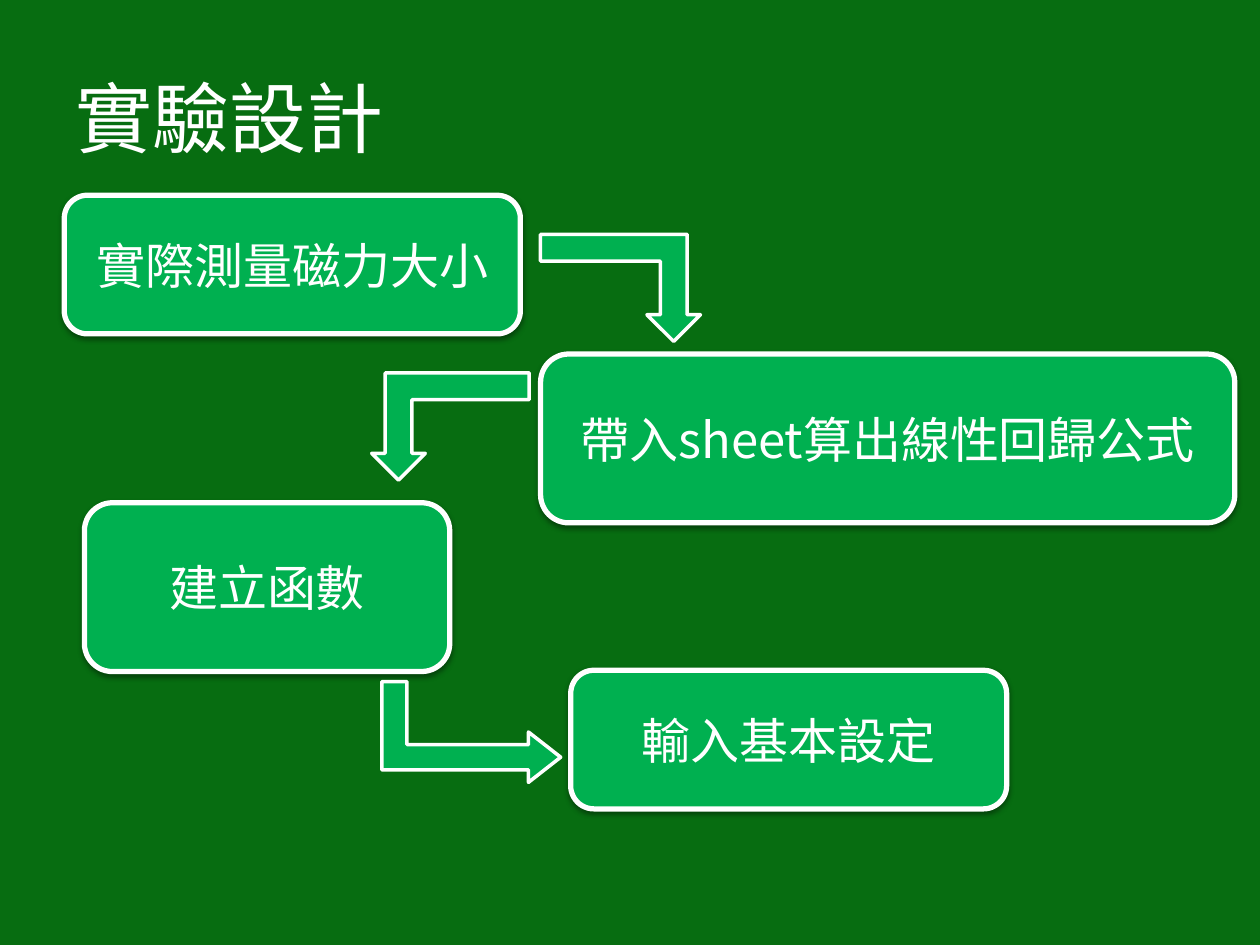
from lxml import etree
from pptx import Presentation
from pptx.dml.color import RGBColor
from pptx.enum.shapes import MSO_SHAPE
from pptx.enum.text import MSO_ANCHOR, PP_ALIGN
from pptx.oxml import parse_xml
from pptx.oxml.ns import nsdecls, qn
from pptx.util import Pt

ROUNDED = MSO_SHAPE.ROUNDED_RECTANGLE
BENT_ARROW = MSO_SHAPE.BENT_UP_ARROW
MIDDLE = MSO_ANCHOR.MIDDLE
LEFT, CENTER = PP_ALIGN.LEFT, PP_ALIGN.CENTER

PX = 9144  # EMU per px, 100 px to the inch
FONT = "Noto Sans CJK TC"
WHITE, GREEN, DARK_GREEN = "FFFFFF", "00B050", "076D11"
SHADOW = (
    f'<a:effectLst {nsdecls("a")}>'
    '<a:outerShdw blurRad="40000" dist="20000" dir="5400000" rotWithShape="0">'
    '<a:srgbClr val="000000"><a:alpha val="38000"/></a:srgbClr>'
    "</a:outerShdw></a:effectLst>"
)


def paint(color_format, color):
    color_format.rgb = RGBColor.from_string(color)


def write(shape, text, size, align):
    frame = shape.text_frame
    frame.word_wrap = True
    frame.vertical_anchor = MIDDLE
    paragraph = frame.paragraphs[0]
    paragraph.alignment = align
    run = paragraph.add_run()
    run.text = text
    run.font.size = Pt(size)
    run.font.name = FONT
    paint(run.font.color, WHITE)
    # East Asian text takes its font from a:ea
    etree.SubElement(run.font._element, qn("a:ea")).set("typeface", FONT)


prs = Presentation()
prs.slide_width, prs.slide_height = 1000 * PX, 750 * PX
slide = prs.slides.add_slide(prs.slide_layouts[6])
slide.background.fill.solid()
paint(slide.background.fill.fore_color, DARK_GREEN)

# Title
title = slide.shapes.add_textbox(50 * PX, 30 * PX, 900 * PX, 125 * PX)
write(title, "實驗設計", 44, LEFT)

# Steps of the experiment: text, left, top, width, height
steps = [
    ("實際測量磁力大小", 51, 155, 362, 110),
    ("帶入sheet算出線性回歸公式", 429, 281, 551, 134),
    ("建立函數", 67, 399, 290, 134),
    ("輸入基本設定", 453, 532, 346, 110),
]
for text, *place in steps:
    step = slide.shapes.add_shape(ROUNDED, *(v * PX for v in place))
    step.fill.solid()
    paint(step.fill.fore_color, GREEN)
    paint(step.line.color, WHITE)
    step.line.width = Pt(3)
    step._element.spPr.append(parse_xml(SHADOW))
    write(step, text, 28, CENTER)

# Arrows between steps: left, top, width, height, rotation, mirrored, head length
arrows = [
    (429, 186, 127, 85, 180, True, 0.25),
    (295, 296, 125, 85, 180, False, 0.25),
    (334, 510, 80, 142, 90, False, 0.32),
]
for *place, rotation, mirrored, head in arrows:
    arrow = slide.shapes.add_shape(BENT_ARROW, *(v * PX for v in place))
    arrow.rotation = rotation
    arrow.adjustments[2] = head
    if mirrored:
        arrow._element.spPr.xfrm.set("flipH", "1")
    arrow.shadow.inherit = False
    arrow.fill.solid()
    paint(arrow.fill.fore_color, GREEN)
    paint(arrow.line.color, WHITE)
    arrow.line.width = Pt(2)

prs.save("out.pptx")
